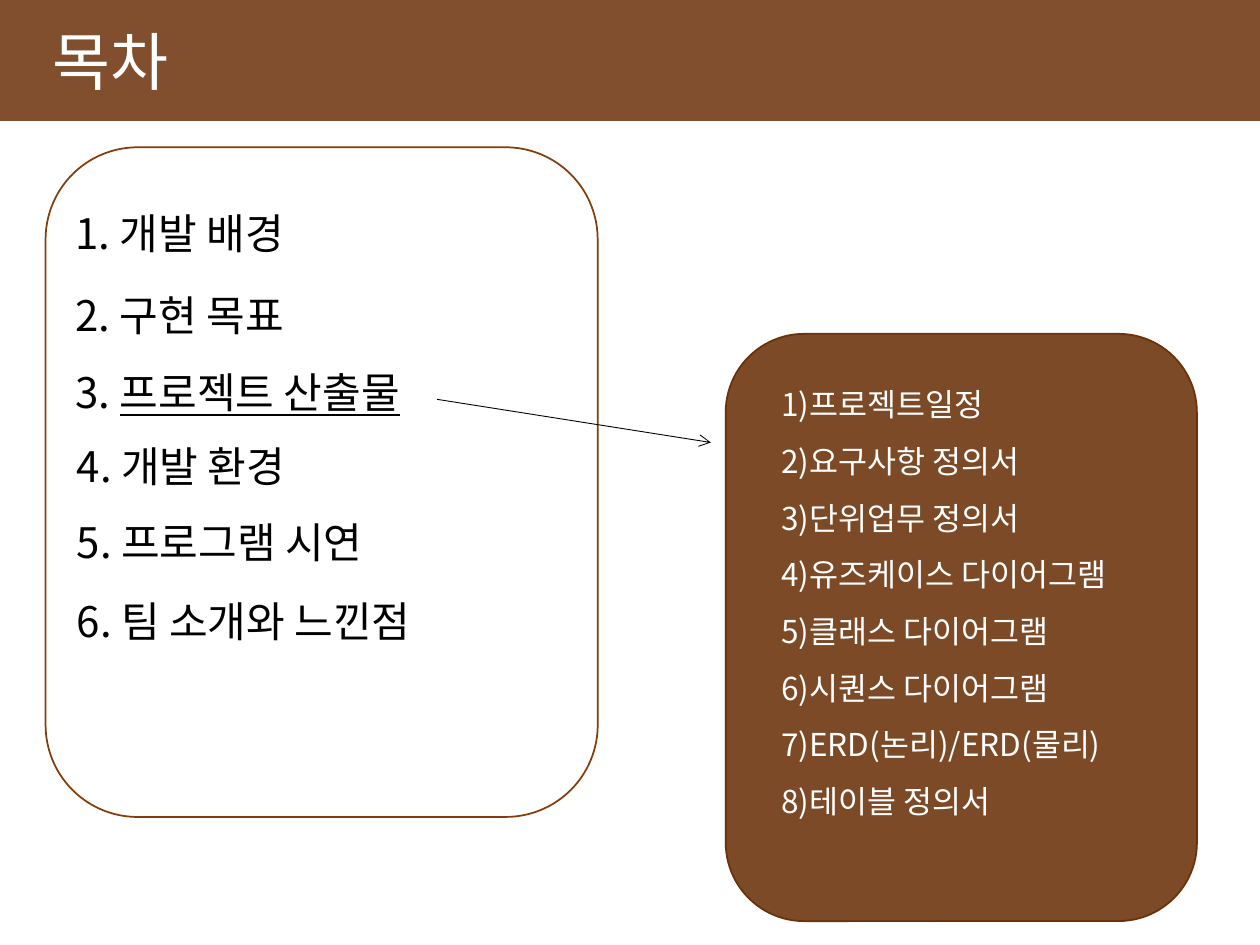
from lxml import etree
from pptx import Presentation
from pptx.dml.color import RGBColor
from pptx.enum import shapes, text
from pptx.oxml.ns import qn
from pptx.util import Cm, Pt

BROWN, OUTLINE, WHITE, BLACK = "6B3109", "843C0B", "FFFFFF", "000000"
KOREAN_FONT = "Noto Sans CJK KR"

# left, top (cm), number, topic, underlined
AGENDA = [
    (1.27, 4.06, "1. ", "개발 배경", False),
    (1.27, 5.72, "2. ", "구현 목표", False),
    (1.27, 7.26, "3. ", "프로젝트 산출물", True),
    (1.3, 8.76, "4. ", "개발 환경", False),
    (1.3, 10.29, "5. ", "프로그램 시연", False),
    (1.3, 11.89, "6. ", "팀 소개와 느낀점", False),
]
DELIVERABLES = [
    "1)프로젝트일정",
    "2)요구사항 정의서",
    "3)단위업무 정의서",
    "4)유즈케이스 다이어그램",
    "5)클래스 다이어그램",
    "6)시퀀스 다이어그램",
    "7)ERD(논리)/ERD(물리)",
    "8)테이블 정의서",
]


def rgb(value):
    return RGBColor.from_string(value)


def add_panel(slide, kind, box, fill=None, opacity=100, line=None):
    panel = slide.shapes.add_shape(kind, *map(Cm, box))
    panel.shadow.inherit = False
    if fill:
        panel.fill.solid()
        panel.fill.fore_color.rgb = rgb(fill)
        color = panel.fill._xPr.find(".//" + qn("a:srgbClr"))
        etree.SubElement(color, qn("a:alpha"), val=str(opacity * 1000))
    else:
        panel.fill.background()
    if line:
        panel.line.color.rgb = rgb(line)
        panel.line.width = Pt(1)
    else:
        panel.line.fill.background()


def style_paragraph(paragraph, size, color, font=KOREAN_FONT):
    """Format a paragraph, with the font applied to Korean glyphs as well."""
    paragraph.font.size = Pt(size)
    paragraph.font.color.rgb = rgb(color)
    paragraph.font.name = font
    for run in paragraph.runs:
        etree.SubElement(run._r.get_or_add_rPr(), qn("a:ea"), typeface=font)


def set_title(slide, title):
    heading = slide.shapes.title
    heading.left, heading.top, heading.width, heading.height = map(Cm, (0.8, 0.33, 4, 1.8))
    heading.text = title
    frame = heading.text_frame
    frame.word_wrap = False
    frame.auto_size = text.MSO_AUTO_SIZE.NONE
    frame.vertical_anchor = text.MSO_ANCHOR.TOP
    frame.paragraphs[0].alignment = text.PP_ALIGN.LEFT
    style_paragraph(frame.paragraphs[0], 36, WHITE, "Calibri")
    # Bring the title in front of the band
    slide.shapes._spTree.append(heading._element)


def add_agenda_item(slide, left, top, number, topic, underlined):
    frame = slide.shapes.add_textbox(Cm(left), Cm(top), Cm(8.1), Cm(1.27)).text_frame
    frame.word_wrap = False
    paragraph = frame.paragraphs[0]
    if underlined:
        paragraph.add_run().text = number
        label = paragraph.add_run()
        label.text = topic
        label.font.underline = True
    else:
        paragraph.add_run().text = number + topic
    style_paragraph(paragraph, 24, BLACK)


def add_deliverables(slide, box):
    frame = slide.shapes.add_textbox(*map(Cm, box)).text_frame
    frame.word_wrap = False
    frame.text = "\n".join(DELIVERABLES)
    for paragraph in frame.paragraphs:
        paragraph.line_spacing = 1.5
        style_paragraph(paragraph, 18, WHITE)


def add_arrow(slide, start, end):
    arrow = slide.shapes.add_connector(
        shapes.MSO_CONNECTOR.STRAIGHT, *map(Cm, start + end))
    arrow.line.color.rgb = rgb(BLACK)
    arrow.line.width = Pt(0.5)
    etree.SubElement(arrow.line._get_or_add_ln(), qn("a:tailEnd"), type="arrow")
    etree.SubElement(arrow._element.spPr, qn("a:effectLst"))


def main():
    deck = Presentation()
    deck.slide_width, deck.slide_height = Cm(25.4), Cm(19.05)
    slide = deck.slides.add_slide(deck.slide_layouts[5])
    rectangle = shapes.MSO_SHAPE.RECTANGLE
    rounded = shapes.MSO_SHAPE.ROUNDED_RECTANGLE

    add_panel(slide, rectangle, (0, 0, 25.4, 2.44), BROWN, 85)
    set_title(slide, "목차")
    for item in AGENDA:
        add_agenda_item(slide, *item)
    add_panel(slide, rounded, (0.92, 2.97, 11.13, 13.5), line=OUTLINE)
    add_arrow(slide, (8.81, 8.05), (14.33, 8.92))
    add_panel(slide, rounded, (14.63, 6.73, 9.5, 11.84), BROWN, 88, BROWN)
    add_deliverables(slide, (15.5, 7.26, 7.77, 9.5))

    deck.save("out.pptx")


if __name__ == "__main__":
    main()
